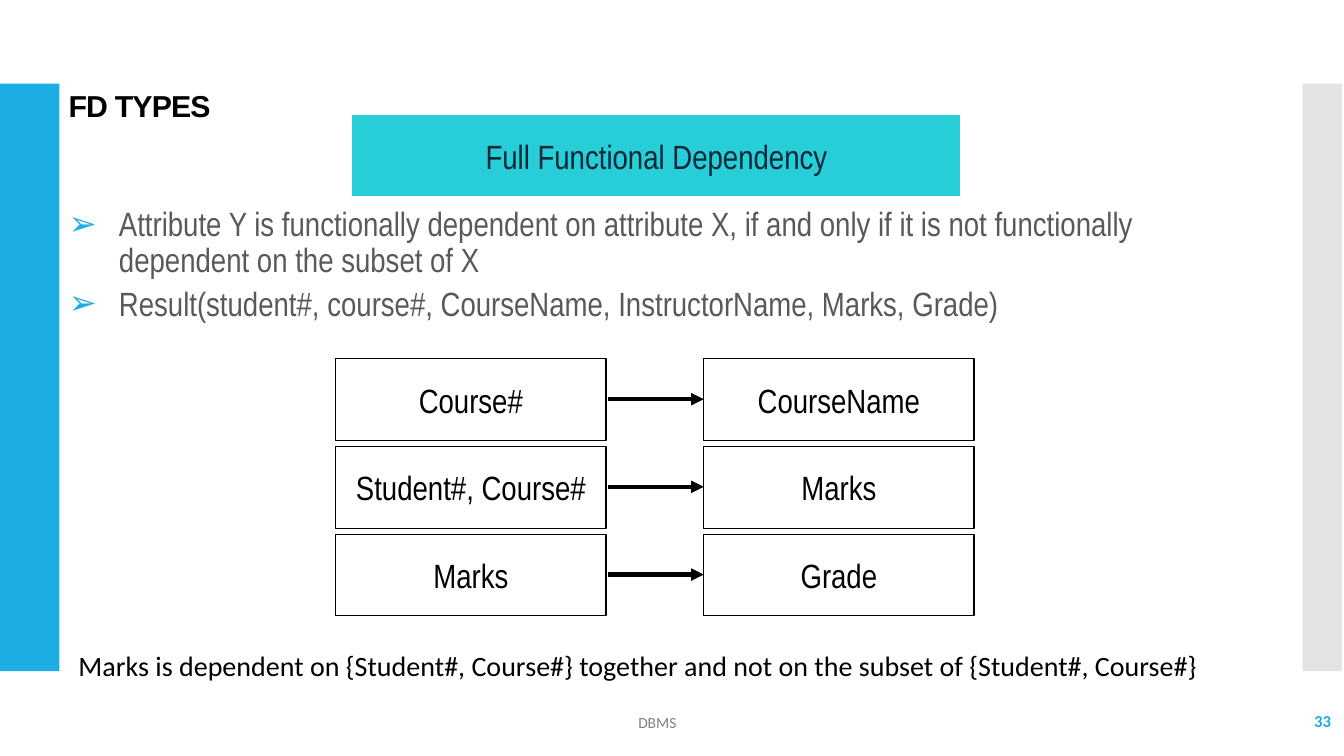
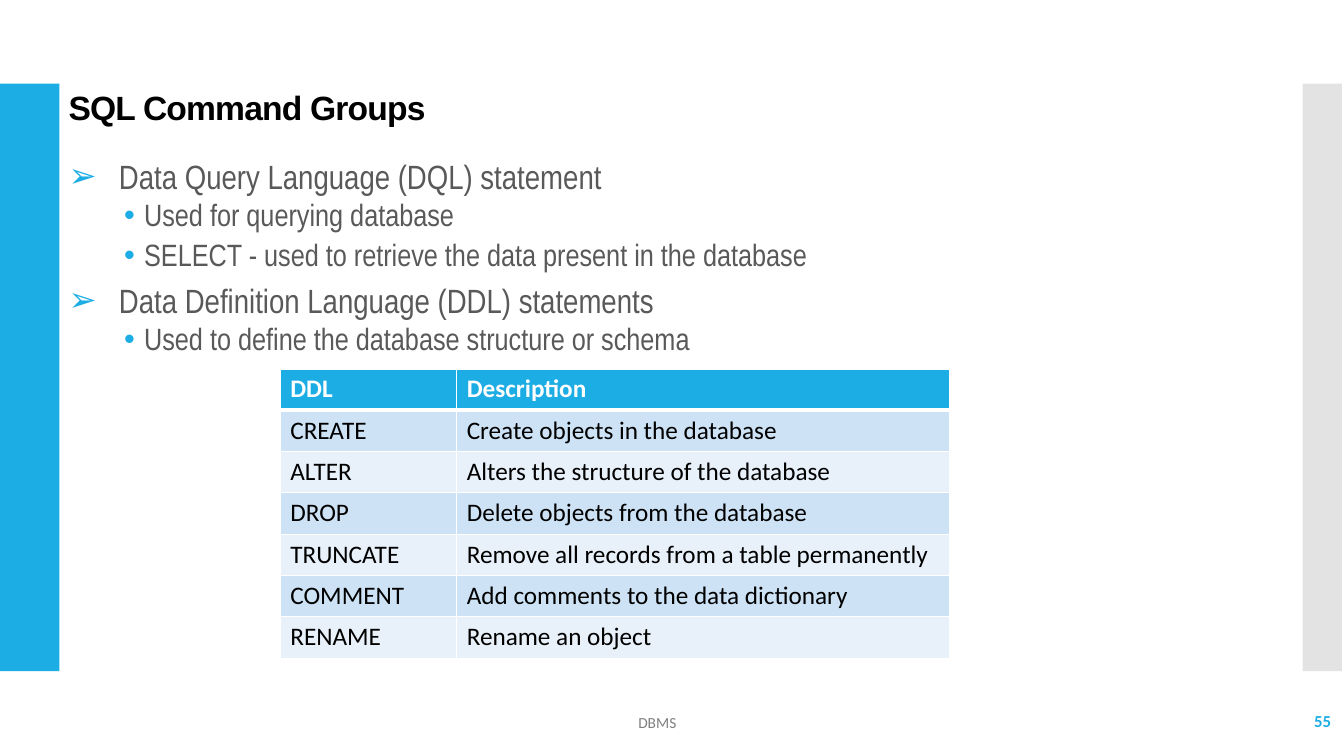
from dataclasses import dataclass
from typing import Any

from lxml.etree import SubElement
from pptx import Presentation
from pptx.dml.color import RGBColor
from pptx.enum.shapes import MSO_CONNECTOR, MSO_SHAPE
from pptx.enum.text import MSO_ANCHOR, MSO_AUTO_SIZE, PP_ALIGN
from pptx.oxml.ns import qn
from pptx.util import Inches, Pt

# Shared colours and fonts
WHITE = RGBColor(0xFF, 0xFF, 0xFF)
BLACK = RGBColor(0x00, 0x00, 0x00)
BLUE = RGBColor(0x1C, 0xAD, 0xE4)
SIDE_GREY = RGBColor(0xC8, 0xC8, 0xC8)
FOOTER_GREY = RGBColor(0x80, 0x80, 0x80)
BODY_GREY = RGBColor(0x59, 0x59, 0x59)
TURQUOISE = RGBColor(0x27, 0xCE, 0xD7)
NAVY = RGBColor(0x05, 0x28, 0x39)
ROW_DARK = RGBColor(0xCD, 0xE3, 0xF5)
ROW_LIGHT = RGBColor(0xE8, 0xF1, 0xFA)
TITLE_FONT, BODY_FONT, PLAIN_FONT = "Arial", "Arial Narrow", "Calibri"


@dataclass(frozen=True)
class Area:
    left: float
    top: float
    width: float
    height: float

    def lengths(self) -> tuple:
        return tuple(Inches(v) for v in (self.left, self.top, self.width, self.height))


@dataclass(frozen=True)
class TextStyle:
    font: str
    size: float
    color: RGBColor
    bold: bool = False


@dataclass(frozen=True)
class BulletStyle:
    symbol: str
    indent: float
    hanging: float
    size: float
    before: float
    after: float


@dataclass(frozen=True)
class Bullet:
    text: str
    level: int = 0


@dataclass(frozen=True)
class Dependency:
    determinant: str
    dependent: str


BULLET_STYLES = (
    BulletStyle("➢", 0.5, 0.5, 24, 5, 0),
    BulletStyle("•", 0.75, 0.2, 22, 2.5, 2.5),
)
BOX_STYLE = TextStyle(BODY_FONT, 24, BLACK)
BODY_BOTTOM = 6.9


def add_span(para: Any, text: str, style: TextStyle) -> Any:
    span = para.add_run()
    span.text = text
    span.font.name = style.font
    span.font.size = Pt(style.size)
    span.font.bold = style.bold
    span.font.color.rgb = style.color
    return span


def add_text(page: Any, area: Area, text: str, style: TextStyle,
             align: PP_ALIGN = PP_ALIGN.LEFT, anchor: MSO_ANCHOR = MSO_ANCHOR.TOP) -> None:
    frame = page.shapes.add_textbox(*area.lengths()).text_frame
    frame.word_wrap = True
    frame.vertical_anchor = anchor
    frame.paragraphs[0].alignment = align
    add_span(frame.paragraphs[0], text, style)


def add_rectangle(page: Any, area: Area, fill: RGBColor | None = None,
                  line: RGBColor | None = None, line_width: float = 0.85) -> Any:
    box = page.shapes.add_shape(MSO_SHAPE.RECTANGLE, *area.lengths())
    box.shadow.inherit = False
    if fill is None:
        box.fill.background()
    else:
        box.fill.solid()
        box.fill.fore_color.rgb = fill
    if line is None:
        box.line.fill.background()
    else:
        box.line.color.rgb = line
        box.line.width = Pt(line_width)
    return box


def add_label(box: Any, text: str, style: TextStyle) -> None:
    frame = box.text_frame
    frame.word_wrap = True
    frame.vertical_anchor = MSO_ANCHOR.MIDDLE
    frame.paragraphs[0].alignment = PP_ALIGN.CENTER
    add_span(frame.paragraphs[0], text, style)


def add_arrow(page: Any, left: float, right: float, y: float) -> None:
    arrow = page.shapes.add_connector(
        MSO_CONNECTOR.STRAIGHT, Inches(left), Inches(y), Inches(right), Inches(y))
    arrow.line.color.rgb = BLACK
    arrow.line.width = Pt(3)
    properties = arrow.element.spPr
    SubElement(properties.find(qn("a:ln")), qn("a:tailEnd"), type="triangle")
    SubElement(properties, qn("a:effectLst"))


def add_side_bands(page: Any) -> None:
    """Draw both bands, then hand them to the layout so that every slide shows them."""
    left_band = add_rectangle(page, Area(0, 0.83, 0.59, 5.83), BLUE)
    right_band = add_rectangle(page, Area(12.92, 0.83, 0.39, 5.83), SIDE_GREY)
    grey = right_band.element.spPr.find(qn("a:solidFill")).find(qn("a:srgbClr"))
    SubElement(grey, qn("a:alpha"), val="50000")
    for band in (left_band, right_band):
        page.slide_layout.shapes.element.insert(2, band.element)


def place(holder: Any, area: Area) -> Any:
    holder.left, holder.top, holder.width, holder.height = area.lengths()
    frame = holder.text_frame
    frame.word_wrap = True
    frame.auto_size = MSO_AUTO_SIZE.NONE
    frame.vertical_anchor = MSO_ANCHOR.TOP
    return frame


def add_bullets(frame: Any, bullets: list[Bullet]) -> None:
    for index, bullet in enumerate(bullets):
        style = BULLET_STYLES[bullet.level]
        para = frame.paragraphs[0] if index == 0 else frame.add_paragraph()
        para.level = bullet.level
        properties = para._p.get_or_add_pPr()
        properties.set("marL", str(Inches(style.indent)))
        properties.set("indent", str(-Inches(style.hanging)))
        color = SubElement(properties, qn("a:buClr"))
        SubElement(color, qn("a:srgbClr"), val=str(BLUE))
        SubElement(properties, qn("a:buFont"), typeface=TITLE_FONT)
        SubElement(properties, qn("a:buChar"), char=style.symbol)
        para.line_spacing = 0.9
        para.space_before = Pt(style.before if index else 0)
        para.space_after = Pt(style.after)
        add_span(para, bullet.text, TextStyle(BODY_FONT, style.size, BODY_GREY))


def add_page(deck: Any, title: str, title_size: float, number: int,
             bullets: list[Bullet], body_top: float) -> Any:
    page = deck.slides.add_slide(deck.slide_layouts[1])
    # Title
    para = place(page.shapes.title, Area(0.58, 0.86, 10.44, 0.4)).paragraphs[0]
    para.alignment = PP_ALIGN.LEFT
    para.line_spacing = 0.9
    span = add_span(para, title, TextStyle(TITLE_FONT, title_size, BLACK, bold=True))
    span.font._element.set("spc", "-60")
    # Body list
    body = Area(0.58, body_top, 11.62, BODY_BOTTOM - body_top)
    add_bullets(place(page.placeholders[1], body), bullets)
    # Footer and slide number
    add_text(page, Area(3.29, 6.97, 6.46, 0.4), "DBMS",
             TextStyle(PLAIN_FONT, 11, FOOTER_GREY), PP_ALIGN.CENTER, MSO_ANCHOR.MIDDLE)
    add_text(page, Area(11.63, 6.95, 1.67, 0.4), str(number),
             TextStyle(PLAIN_FONT, 12, BLUE, bold=True), PP_ALIGN.RIGHT, MSO_ANCHOR.MIDDLE)
    return page


def add_dependencies(page: Any, dependencies: list[Dependency]) -> None:
    left, right, width, height = 3.33, 6.98, 2.68, 0.81
    first_top, step = 3.56, 0.87
    for row, dependency in enumerate(dependencies):
        top = first_top + row * step
        for x, text in ((left, dependency.determinant), (right, dependency.dependent)):
            box = add_rectangle(page, Area(x, top, width, height), line=BLACK)
            add_label(box, text, BOX_STYLE)
        add_arrow(page, left + width + 0.02, right, top + 0.4)


def set_borders(cell: Any, bottom_width: float) -> None:
    properties = cell._tc.get_or_add_tcPr()
    sides = {"a:lnL": 1, "a:lnR": 1, "a:lnT": 1, "a:lnB": bottom_width}
    for position, (side, width) in enumerate(sides.items()):
        border = SubElement(properties, qn(side), w=str(Pt(width)))
        fill = SubElement(border, qn("a:solidFill"))
        SubElement(fill, qn("a:srgbClr"), val=str(WHITE))
        properties.insert(position, border)


def add_command_table(page: Any, rows: list[tuple[str, str]]) -> None:
    column_widths, row_height = (1.75, 4.89), 0.41
    area = Area(2.78, 3.66, sum(column_widths), row_height * len(rows))
    table = page.shapes.add_table(len(rows), len(column_widths), *area.lengths()).table
    for column, width in zip(table.columns, column_widths):
        column.width = Inches(width)
    for r, texts in enumerate(rows):
        header = r == 0
        table.rows[r].height = Inches(row_height)
        style = TextStyle(PLAIN_FONT, 18, WHITE if header else BLACK, header)
        for c, text in enumerate(texts):
            cell = table.cell(r, c)
            cell.fill.solid()
            cell.fill.fore_color.rgb = BLUE if header else (ROW_LIGHT, ROW_DARK)[r % 2]
            set_borders(cell, 3 if header else 1)
            add_span(cell.text_frame.paragraphs[0], text, style)


def build_dependency_page(deck: Any) -> None:
    page = add_page(deck, "FD TYPES", 21.6, 33, [
        Bullet("Attribute Y is functionally dependent on attribute X, if and only if "
               "it is not functionally dependent on the subset of X"),
        Bullet("Result(student#, course#, CourseName, InstructorName, Marks, Grade)"),
    ], body_top=2.01)
    add_side_bands(page)
    banner = add_rectangle(page, Area(3.49, 1.14, 6.04, 0.81), TURQUOISE, WHITE, 0.75)
    add_label(banner, "Full Functional Dependency", TextStyle(BODY_FONT, 24, NAVY))
    add_dependencies(page, [
        Dependency("Course#", "CourseName"),
        Dependency("Student#, Course#", "Marks"),
        Dependency("Marks", "Grade"),
    ])
    add_text(page, Area(0.68, 6.38, 11.87, 0.44),
             "Marks is dependent on {Student#, Course#} together and not on "
             "the subset of {Student#, Course#}", TextStyle(PLAIN_FONT, 20, BLACK))


def build_command_page(deck: Any) -> None:
    page = add_page(deck, "SQL Command Groups", 24, 55, [
        Bullet("Data Query Language (DQL) statement"),
        Bullet("Used for querying database", 1),
        Bullet("SELECT - used to retrieve the data present in the database", 1),
        Bullet("Data Definition Language (DDL) statements"),
        Bullet("Used to define the database structure or schema", 1),
    ], body_top=1.54)
    add_command_table(page, [
        ("DDL", "Description"),
        ("CREATE", "Create objects in the database"),
        ("ALTER", "Alters the structure of the database"),
        ("DROP", "Delete objects from the database"),
        ("TRUNCATE", "Remove all records from a table permanently"),
        ("COMMENT", "Add comments to the data dictionary"),
        ("RENAME", "Rename an object"),
    ])


def main() -> None:
    deck = Presentation()
    deck.slide_width, deck.slide_height = Inches(13.33), Inches(7.5)
    build_dependency_page(deck)
    build_command_page(deck)
    deck.save("out.pptx")


if __name__ == "__main__":
    main()
